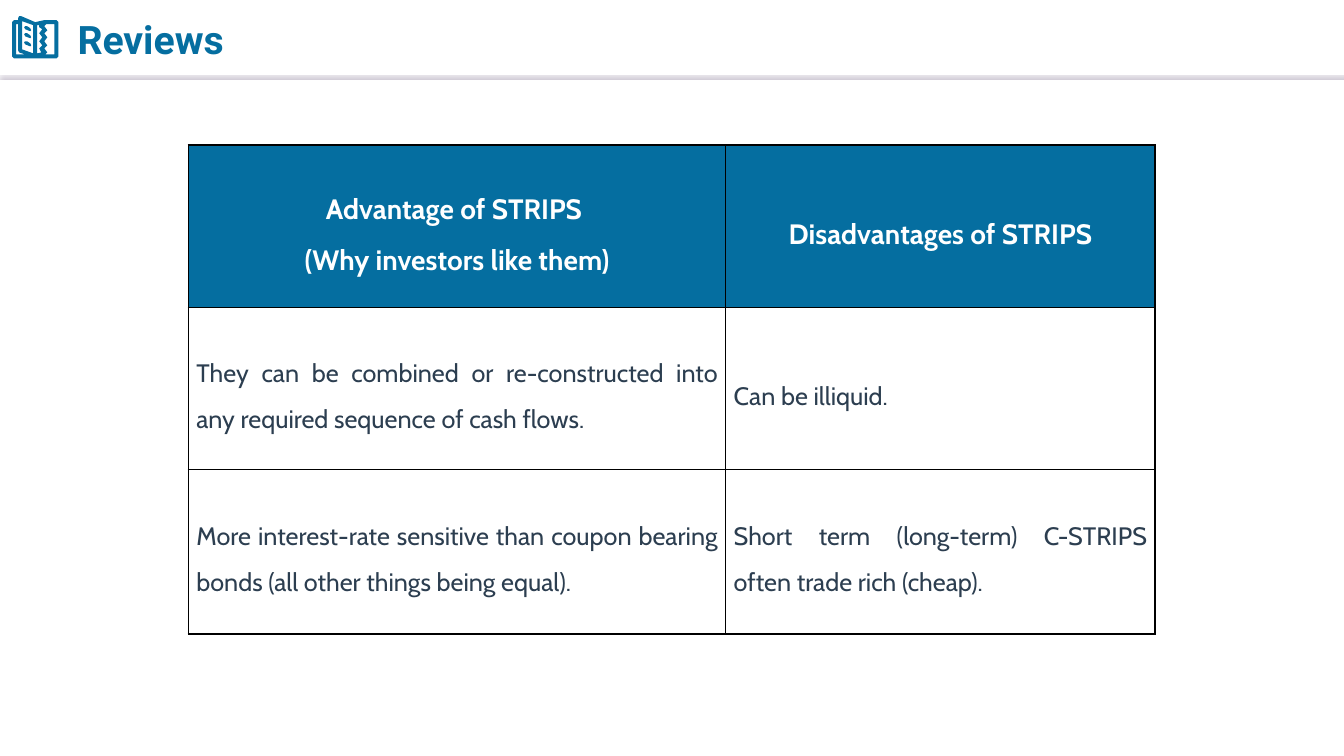
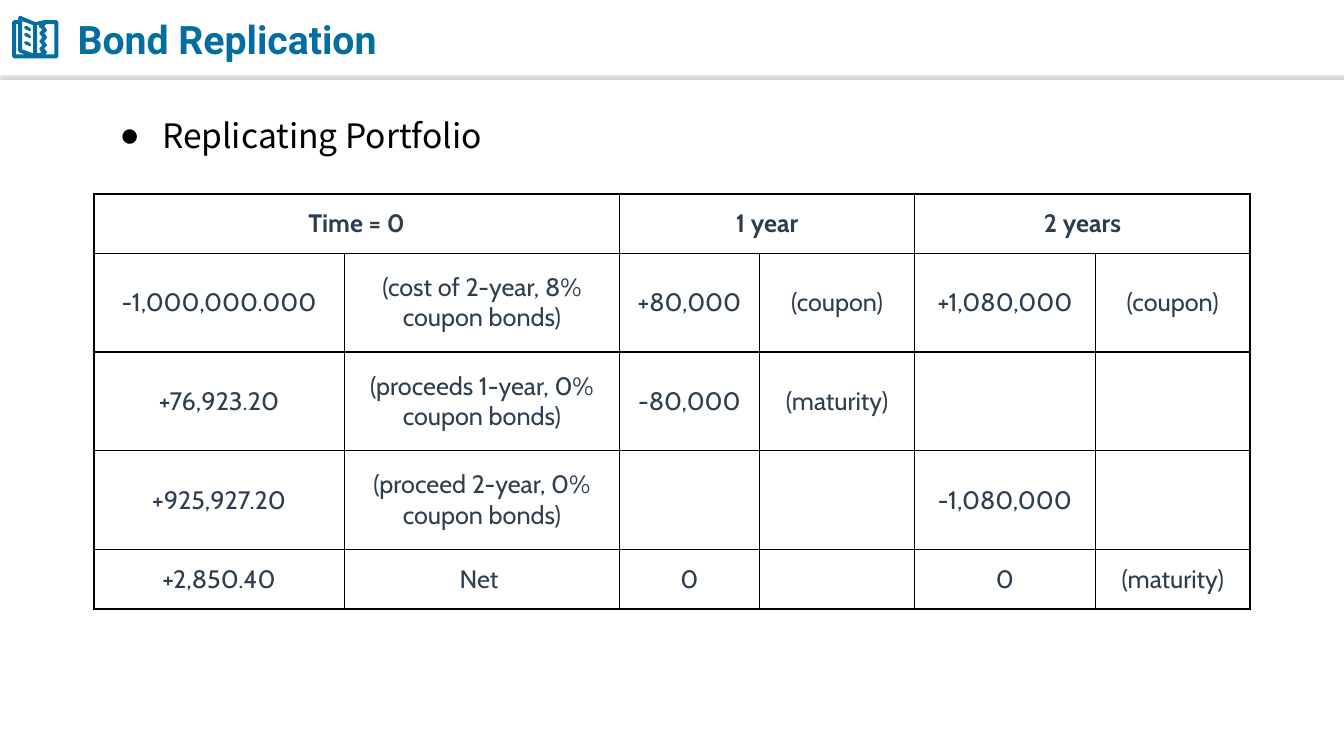
import lxml.etree
import pptx
import pptx.dml.color
import pptx.enum.text
import pptx.oxml
import pptx.oxml.ns
import pptx.util

Cm, Pt = pptx.util.Cm, pptx.util.Pt
RGB = pptx.dml.color.RGBColor
ALIGN = pptx.enum.text.PP_ALIGN
MIDDLE = pptx.enum.text.MSO_ANCHOR.MIDDLE
qn = pptx.oxml.ns.qn

BLUE = RGB(0x05, 0x6E, 0xA0)
INK = RGB(0x2C, 0x3E, 0x50)
WHITE = RGB(0xFF, 0xFF, 0xFF)
BLACK = RGB(0, 0, 0)
SHADE = RGB(0xBC, 0xB4, 0xC4)

WIDE, HIGH = 33.87, 19.05
RULE_Y = 1.85
TITLE_BOX = (1.7, 0.18, 18.69, 1.6)
BODY_BOX = (1.09, 2.26, 31.67, 15.72)

# Book icon outlines, in hundredths of an inch
UNIT = Cm(0.0254)
COVER = [(21, 16), (35, 22), (44, 20), (56, 20), (58, 22), (58, 56), (56, 58),
         (14, 58), (12, 56), (12, 22), (14, 20), (18, 20), (18, 18), (19, 16)]
BACK = [(16, 24), (16, 54), (25, 54), (19, 52), (18, 50), (18, 24)]
LEAF = [(22, 21), (22, 49), (33, 53), (33, 25)]
SPINE = [(39, 25), (37, 25), (37, 53), (41, 52), (39, 48), (42, 45), (39, 41),
         (42, 37), (39, 33), (42, 29), (39, 27)]
EDGE = [(46, 24), (44, 26), (47, 30), (44, 33), (47, 37), (44, 41), (47, 45),
        (44, 48), (47, 52), (45, 54), (54, 54), (54, 24)]
DASH = [(25, 0), (27, 0), (30, 2), (31, 4), (30, 5), (25, 3), (24, 1)]
DASH_TOPS = (26, 33, 41)

STRIPS = {
    "at": (4.75, 3.66),
    "cols": (13.54, 10.82),
    "rows": (4.09, 4.09, 4.14),
    "cells": [
        ["Advantage of STRIPS \n(Why investors like them)",
         "Disadvantages of STRIPS"],
        ["They can be combined or re-constructed into any required sequence "
         "of cash flows.",
         "Can be illiquid."],
        ["More interest-rate sensitive than coupon bearing bonds (all other "
         "things being equal).",
         "Short term (long-term) C-STRIPS often trade rich (cheap)."],
    ],
    "merge": 1, "pad": 0.2, "lead": 1.5, "align": ALIGN.JUSTIFY,
    "head": {"size": 20, "color": WHITE, "fill": BLUE},
}
FLOWS = {
    "at": (2.36, 4.88),
    "cols": (6.32, 6.93, 3.53, 3.91, 4.55, 3.91),
    "rows": (1.5, 2.49, 2.49, 2.49, 1.5),
    "cells": [
        ["Time = 0", "", "1 year", "", "2 years", ""],
        ["-1,000,000.000", "(cost of 2-year, 8% coupon bonds)",
         "+80,000", "(coupon)", "+1,080,000", "(coupon)"],
        ["+76,923.20", "(proceeds 1-year, 0% coupon bonds)",
         "-80,000", "(maturity)", "", ""],
        ["+925,927.20", "(proceed 2-year, 0% coupon bonds)",
         "", "", "-1,080,000", ""],
        ["+2,850.40", "Net ", "0", "", "0", "(maturity)"],
    ],
    "merge": 2, "pad": 0.1, "lead": 1.0, "align": ALIGN.CENTER,
    "head": {"size": 18, "color": INK, "fill": None},
}
SLIDES = [
    {"title": "Reviews", "table": STRIPS},
    {"title": "Bond Replication", "point": "Replicating Portfolio",
     "table": FLOWS},
]


def place(shape, box):
    shape.left, shape.top, shape.width, shape.height = map(Cm, box)


def write(para, text, font, size, color, bold=False):
    run = para.add_run()
    run.text = text
    run.font.name = font
    run.font.size = Pt(size)
    run.font.bold = bold
    run.font.color.rgb = color


def add_rule(shapes):
    """Draw the white header line that shows by its shadow."""
    rule = shapes.add_connector(1, 0, Cm(RULE_Y), Cm(WIDE), Cm(RULE_Y))
    rule.line.color.rgb = WHITE
    rule.line.width = Pt(0.75)
    rule.element.spPr.append(pptx.oxml.parse_xml(
        f'<a:effectLst {pptx.oxml.ns.nsdecls("a")}>'
        f'<a:outerShdw blurRad="{Pt(1)}" dist="{Pt(3)}" dir="5400000" '
        f'algn="t" rotWithShape="0"><a:srgbClr val="{SHADE}"/>'
        '</a:outerShdw></a:effectLst>'))
    return rule


def add_book(shapes):
    dashes = [[(x, y + top) for x, y in DASH] for top in DASH_TOPS]
    pen = shapes.build_freeform(*COVER[0], scale=UNIT)
    pen.add_line_segments(COVER[1:])
    for hole in [BACK, LEAF, SPINE, EDGE] + dashes:
        pen.move_to(*hole[0])
        pen.add_line_segments(hole[1:])
    book = pen.convert_to_shape()
    book.fill.solid()
    book.fill.fore_color.rgb = BLUE
    book.line.fill.background()
    book.shadow.inherit = False
    return book


def set_master(master, slide):
    """Move the header art, drawn on a slide, to the master."""
    for art in (add_rule(slide.shapes), add_book(slide.shapes)):
        master.shapes.element.append(art.element)


def set_edges(cell, edges):
    props = cell._tc.get_or_add_tcPr()
    for side, width in edges.items():
        line = lxml.etree.SubElement(props, qn("a:ln" + side), w=str(Pt(width)))
        fill = lxml.etree.SubElement(line, qn("a:solidFill"))
        lxml.etree.SubElement(fill, qn("a:srgbClr"), val=str(BLACK))


def fill_cell(cell, text, spec, head):
    style = spec["head"] if head else {"size": 18, "color": INK, "fill": None}
    if style["fill"] is None:
        cell.fill.background()
    else:
        cell.fill.solid()
        cell.fill.fore_color.rgb = style["fill"]
    cell.vertical_anchor = MIDDLE
    cell.margin_left = cell.margin_right = Cm(spec["pad"])
    cell.margin_top = cell.margin_bottom = Cm(spec["pad"])
    if not text:
        return
    frame = cell.text_frame
    for i, part in enumerate(text.split("\n")):
        para = frame.add_paragraph() if i else frame.paragraphs[0]
        para.alignment = ALIGN.CENTER if head else spec["align"]
        para.line_spacing = spec["lead"]
        write(para, part, "Cabin", style["size"], style["color"], head)


def add_grid(slide, spec):
    cols, rows, step = spec["cols"], spec["rows"], spec["merge"]
    box = (*spec["at"], sum(cols), sum(rows))
    table = slide.shapes.add_table(len(rows), len(cols), *map(Cm, box)).table
    table.first_row = table.horz_banding = False
    for col, width in zip(table.columns, cols):
        col.width = Cm(width)
    for row, height in zip(table.rows, rows):
        row.height = Cm(height)
    if step > 1:
        for c in range(0, len(cols), step):
            table.cell(0, c).merge(table.cell(0, c + step - 1))
    for r, texts in enumerate(spec["cells"]):
        for c, text in enumerate(texts):
            cell = table.cell(r, c)
            if cell.is_spanned:
                continue
            end = c + (cell.span_width if cell.is_merge_origin else 1)
            outer = {"L": c == 0, "R": end == len(cols),
                     "T": r == 0, "B": r + 1 == len(rows)}
            set_edges(cell, {s: 1.5 if o else 1 for s, o in outer.items()})
            fill_cell(cell, text, spec, r == 0)


def add_title(slide, text):
    title = slide.shapes.title
    place(title, TITLE_BOX)
    title.text_frame.vertical_anchor = MIDDLE
    para = title.text_frame.paragraphs[0]
    para.alignment = ALIGN.LEFT
    write(para, text, "Roboto", 28, BLUE, True)


def add_point(slide, text):
    body = slide.placeholders[1]
    place(body, BODY_BOX)
    para = body.text_frame.paragraphs[0]
    para.line_spacing = 1.5
    para.space_before = Pt(0)
    props = para._p.get_or_add_pPr()
    props.set("marL", str(Cm(2.74)))
    props.set("indent", str(Cm(-1.07)))
    lxml.etree.SubElement(props, qn("a:buChar"), char="●")
    write(para, text, "Noto Sans CJK SC", 24, BLACK)


def main():
    deck = pptx.Presentation()
    deck.slide_width, deck.slide_height = Cm(WIDE), Cm(HIGH)
    for i, page in enumerate(SLIDES):
        layout = deck.slide_layouts[1 if "point" in page else 5]
        slide = deck.slides.add_slide(layout)
        if i == 0:
            set_master(deck.slide_master, slide)
        add_title(slide, page["title"])
        if "point" in page:
            add_point(slide, page["point"])
        add_grid(slide, page["table"])
    deck.save("out.pptx")


if __name__ == "__main__":
    main()
